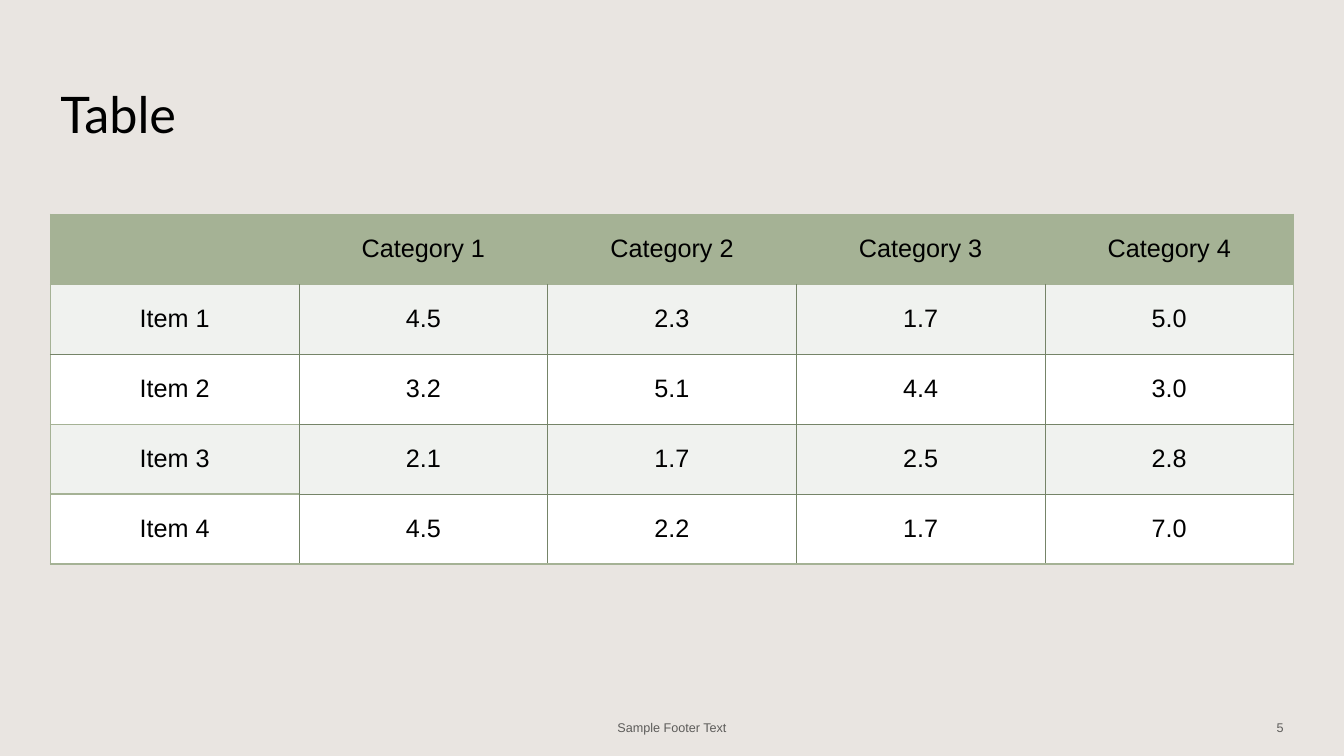
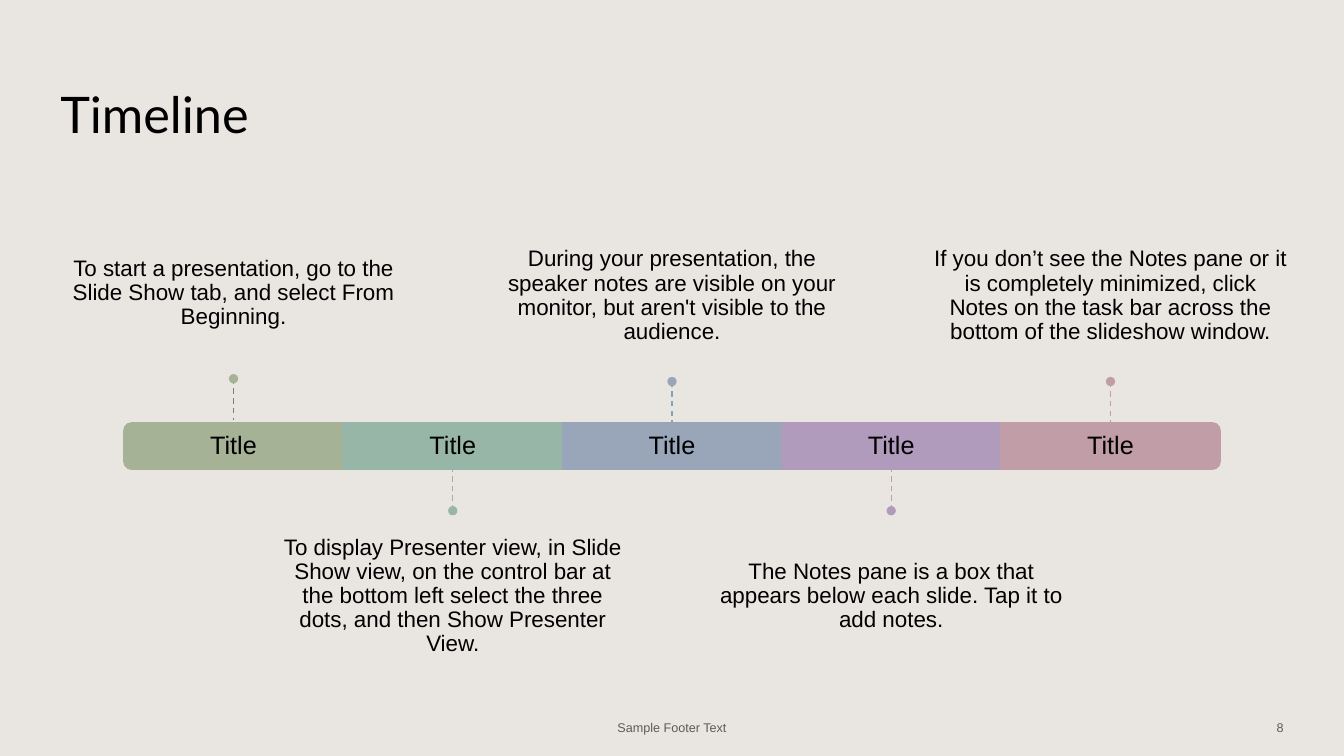
from dataclasses import dataclass

from lxml.etree import SubElement
from pptx import Presentation
from pptx.dml.color import RGBColor
from pptx.enum.dml import MSO_LINE_DASH_STYLE as Dash
from pptx.enum.shapes import MSO_CONNECTOR as Connector, MSO_SHAPE as Shape
from pptx.enum.text import MSO_ANCHOR as Anchor, PP_ALIGN as Align
from pptx.oxml.ns import qn
from pptx.util import Pt

BACKGROUND = RGBColor(0xE9, 0xE5, 0xE1)
BLACK = RGBColor(0x00, 0x00, 0x00)
WHITE = RGBColor(0xFF, 0xFF, 0xFF)
FOOTER_GRAY = RGBColor(0x5D, 0x5C, 0x5A)
SAGE = RGBColor(0xA5, 0xB2, 0x95)
MINT = RGBColor(0x97, 0xB6, 0xA7)
STEEL = RGBColor(0x99, 0xA6, 0xBA)
LILAC = RGBColor(0xB1, 0x9B, 0xBD)
ROSE = RGBColor(0xC1, 0x9D, 0xA7)
TEAL = RGBColor(0x79, 0xA9, 0xB4)
DARK_SAGE = RGBColor(0x75, 0x84, 0x68)
PALE_SAGE = RGBColor(0xF0, 0xF2, 0xEF)

PAGE_WIDTH, PAGE_HEIGHT = 960, 540
MARGIN = 36
TITLE_FONT, BODY_FONT = "Lato", "Arial"
FOOTER_TOP, FOOTER_HEIGHT = 505.4, 28.8

TABLE_TOP, ROW_HEIGHT = 153, 50
TABLE_ROWS = (
    ("", "Category 1", "Category 2", "Category 3", "Category 4"),
    ("Item 1", "4.5", "2.3", "1.7", "5.0"),
    ("Item 2", "3.2", "5.1", "4.4", "3.0"),
    ("Item 3", "2.1", "1.7", "2.5", "2.8"),
    ("Item 4", "4.5", "2.2", "1.7", "7.0"),
)

STAGE_WIDTH, BAR_HEIGHT, BAR_MIDDLE = 156.6, 33.2, 318.6
BAR_TOP = BAR_MIDDLE - BAR_HEIGHT / 2
BAR_BOTTOM = BAR_MIDDLE + BAR_HEIGHT / 2
NOTE_WIDTH, NOTE_HEIGHT = 260.6, 116
NOTE_TOP_ABOVE, NOTE_TOP_BELOW = 153.4, 368
DOT_SIZE, DOT_ABOVE, DOT_BELOW = 6.6, 272.5, 364.8


@dataclass(frozen=True)
class TextStyle:
    size: float
    align: Align = Align.CENTER
    font: str = BODY_FONT
    color: RGBColor = BLACK
    line_spacing: float = 1.0
    inset_x: float = 7.2
    inset_y: float = 3.6


@dataclass(frozen=True)
class Stage:
    note: str
    color: RGBColor
    stem_color: RGBColor
    rotation: int = 0
    lift: float = 0


TITLE_STYLE = TextStyle(36, Align.LEFT, TITLE_FONT)
FOOTER_STYLE = TextStyle(9, color=FOOTER_GRAY)
NUMBER_STYLE = TextStyle(9, Align.RIGHT, color=FOOTER_GRAY)
CELL_STYLE = TextStyle(18)
STAGE_STYLE = TextStyle(18, line_spacing=0.9, inset_x=2.9, inset_y=0)
NOTE_STYLE = TextStyle(16, line_spacing=0.9, inset_x=4.3, inset_y=2.2)

STAGES = (
    Stage("To start a presentation, go to the Slide Show tab, and select From Beginning.",
          SAGE, DARK_SAGE, rotation=270, lift=2),
    Stage("To display Presenter view, in Slide Show view, on the control bar at the bottom "
          "left select the three dots, and then Show Presenter View.", MINT, SAGE),
    Stage("During your presentation, the speaker notes are visible on your monitor, "
          "but aren't visible to the audience.", STEEL, TEAL),
    Stage("The Notes pane is a box that appears below each slide. Tap it to add notes.",
          LILAC, ROSE),
    Stage("If you don’t see the Notes pane or it is completely minimized, click Notes "
          "on the task bar across the bottom of the slideshow window.",
          ROSE, ROSE, rotation=90),
)


def format_text(frame, style: TextStyle) -> None:
    for para in frame.paragraphs:
        para.alignment = style.align
        para.line_spacing = style.line_spacing
        for span in para.runs:
            span.font.name = style.font
            span.font.size = Pt(style.size)
            span.font.color.rgb = style.color


def add_text(page, text: str, left: float, top: float, width: float, height: float,
             style: TextStyle) -> None:
    box = page.shapes.add_textbox(Pt(left), Pt(top), Pt(width), Pt(height))
    frame = box.text_frame
    frame.word_wrap = True
    frame.vertical_anchor = Anchor.MIDDLE
    frame.margin_left = frame.margin_right = Pt(style.inset_x)
    frame.margin_top = frame.margin_bottom = Pt(style.inset_y)
    frame.text = text
    format_text(frame, style)


def add_block(page, kind: Shape, center_x: float, center_y: float,
              width: float, height: float, color: RGBColor):
    block = page.shapes.add_shape(kind, Pt(center_x - width / 2), Pt(center_y - height / 2),
                                  Pt(width), Pt(height))
    block.shadow.inherit = False
    block.fill.solid()
    block.fill.fore_color.rgb = color
    block.line.fill.background()
    return block


def add_stem(page, x: float, start: float, end: float, color: RGBColor) -> None:
    stem = page.shapes.add_connector(Connector.STRAIGHT, Pt(x), Pt(start), Pt(x), Pt(end))
    stem.line.color.rgb = color
    stem.line.width = Pt(1)
    stem.line.dash_style = Dash.DASH
    SubElement(stem.element.spPr, qn("a:effectLst"))


def add_page(deck, title: str, number: int):
    page = deck.slides.add_slide(deck.slide_layouts[6])
    add_text(page, title, MARGIN, 28.8, 858, 104.4, TITLE_STYLE)
    add_text(page, "Sample Footer Text", 318, FOOTER_TOP, 324, FOOTER_HEIGHT, FOOTER_STYLE)
    add_text(page, str(number), 708, FOOTER_TOP, 216, FOOTER_HEIGHT, NUMBER_STYLE)
    return page


def set_border(cell, side: str, color: RGBColor | None) -> None:
    width = Pt(1) if color == SAGE else Pt(0.5)
    border = SubElement(cell._tc.get_or_add_tcPr(), qn(f"a:ln{side}"), w=str(width))
    if color is None:
        SubElement(border, qn("a:noFill"))
    else:
        fill = SubElement(border, qn("a:solidFill"))
        SubElement(fill, qn("a:srgbClr"), val=str(color))


def vertical_color(row: int, edge: int) -> RGBColor | None:
    if edge in (0, len(TABLE_ROWS[0])):
        return SAGE
    return None if row == 0 else DARK_SAGE


def horizontal_color(column: int, edge: int) -> RGBColor:
    if edge in (0, 1, len(TABLE_ROWS)) or (column == 0 and edge > 2):
        return SAGE
    return DARK_SAGE


def format_cell(cell, row: int, column: int) -> None:
    cell.vertical_anchor = Anchor.MIDDLE
    format_text(cell.text_frame, CELL_STYLE)
    set_border(cell, "L", vertical_color(row, column))
    set_border(cell, "R", vertical_color(row, column + 1))
    set_border(cell, "T", horizontal_color(column, row))
    set_border(cell, "B", horizontal_color(column, row + 1))
    cell.fill.solid()
    body_color = PALE_SAGE if row % 2 else WHITE
    cell.fill.fore_color.rgb = SAGE if row == 0 else body_color


def build_table(deck) -> None:
    page = add_page(deck, "Table", 5)
    row_count, column_count = len(TABLE_ROWS), len(TABLE_ROWS[0])
    table = page.shapes.add_table(row_count, column_count, Pt(MARGIN), Pt(TABLE_TOP),
                                  Pt(PAGE_WIDTH - 2 * MARGIN),
                                  Pt(row_count * ROW_HEIGHT)).table
    table.first_row = table.horz_banding = False
    for row, values in enumerate(TABLE_ROWS):
        for column, value in enumerate(values):
            cell = table.cell(row, column)
            cell.text = value
            format_cell(cell, row, column)


def add_stage(page, index: int, stage: Stage) -> None:
    center = PAGE_WIDTH / 2 + (index - len(STAGES) // 2) * STAGE_WIDTH
    if stage.rotation:
        bar = add_block(page, Shape.ROUND_2_SAME_RECTANGLE, center, BAR_MIDDLE,
                        BAR_HEIGHT, STAGE_WIDTH, stage.color)
        bar.rotation = stage.rotation
    else:
        bar = add_block(page, Shape.RECTANGLE, center, BAR_MIDDLE,
                        STAGE_WIDTH, BAR_HEIGHT, stage.color)
    bar.line.color.rgb = stage.color
    bar.line.width = Pt(1)
    add_text(page, "Title", center - STAGE_WIDTH / 2, BAR_TOP, STAGE_WIDTH, BAR_HEIGHT,
             STAGE_STYLE)

    above = index % 2 == 0
    note_top = (NOTE_TOP_ABOVE if above else NOTE_TOP_BELOW) - stage.lift
    dot_middle = (DOT_ABOVE if above else DOT_BELOW) - stage.lift
    bar_edge = BAR_TOP - stage.lift if above else BAR_BOTTOM
    add_text(page, stage.note, center - NOTE_WIDTH / 2, note_top, NOTE_WIDTH, NOTE_HEIGHT,
             NOTE_STYLE)
    add_stem(page, center, dot_middle, bar_edge, stage.stem_color)
    add_block(page, Shape.OVAL, center, dot_middle, DOT_SIZE, DOT_SIZE, stage.color)


def build_timeline(deck) -> None:
    page = add_page(deck, "Timeline", 8)
    for index, stage in enumerate(STAGES):
        add_stage(page, index, stage)


def main() -> None:
    deck = Presentation()
    deck.slide_width, deck.slide_height = Pt(PAGE_WIDTH), Pt(PAGE_HEIGHT)
    backdrop = deck.slide_master.background.fill
    backdrop.solid()
    backdrop.fore_color.rgb = BACKGROUND
    build_table(deck)
    build_timeline(deck)
    deck.save("out.pptx")


if __name__ == "__main__":
    main()
